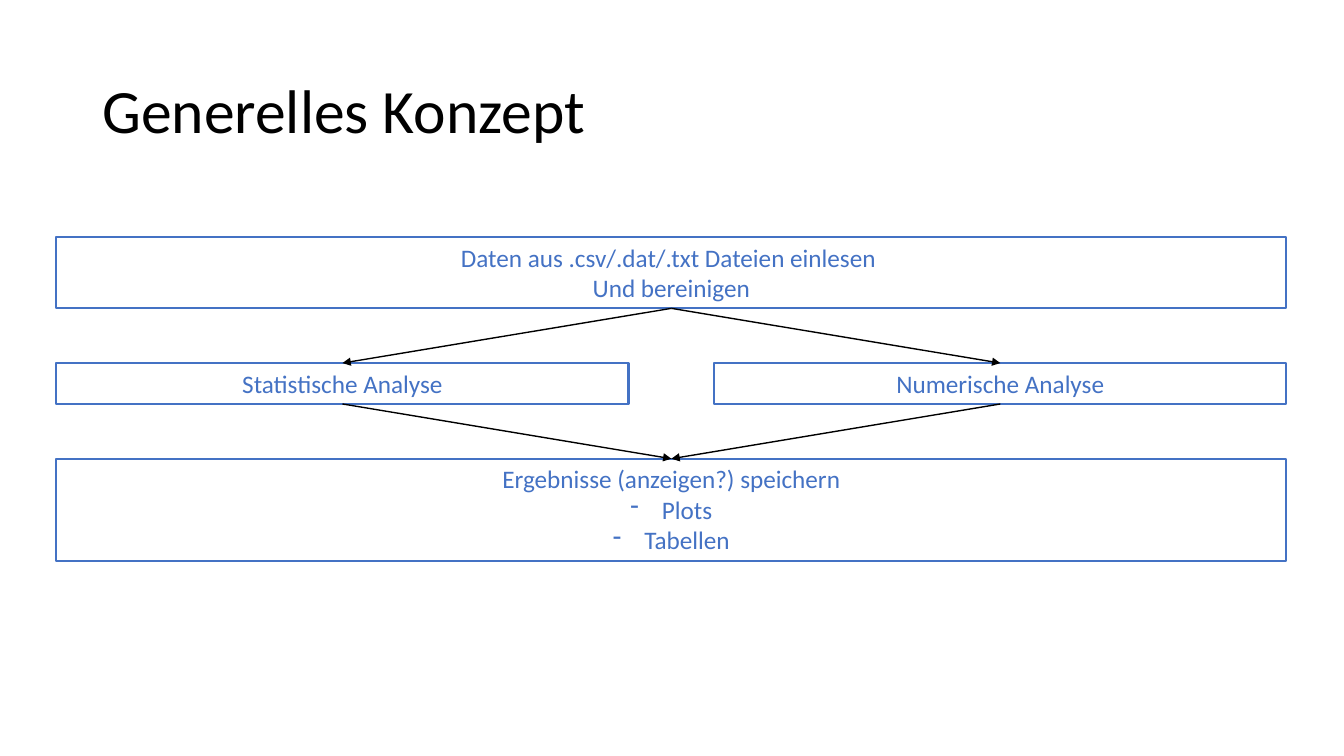
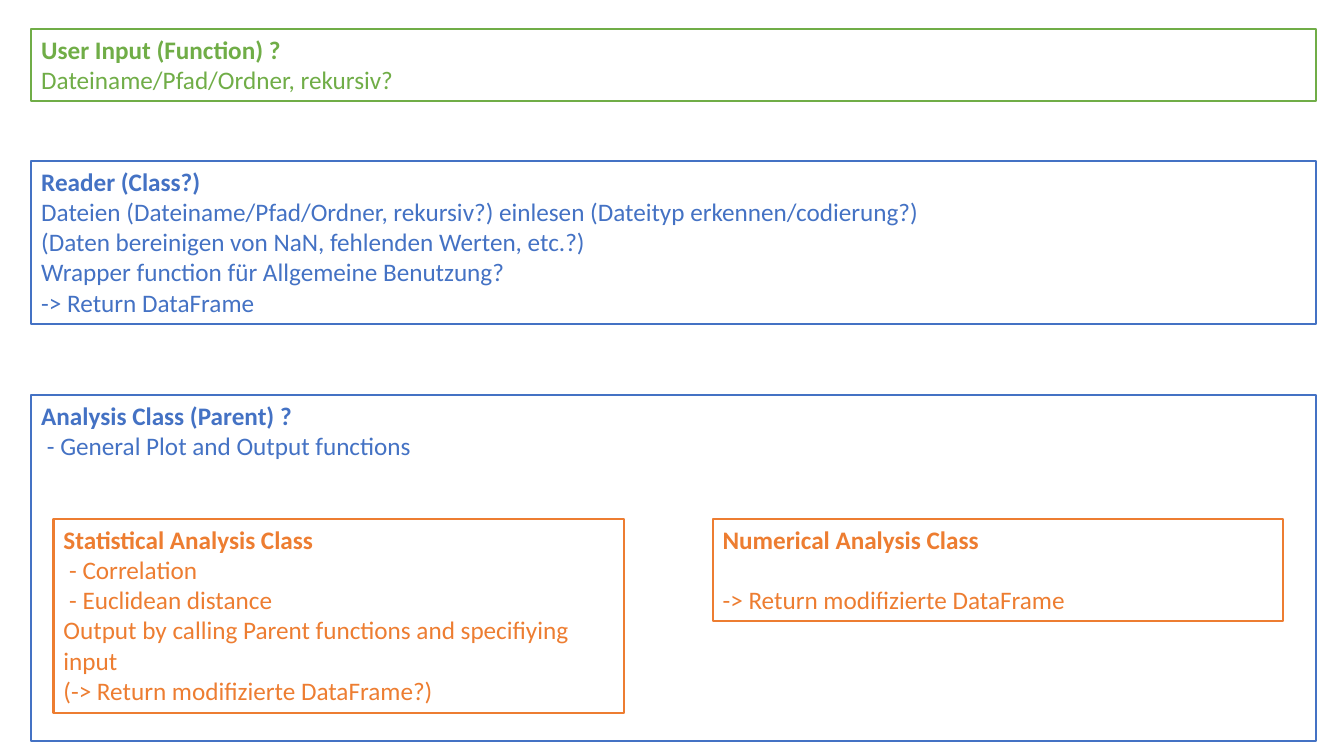
"""Builds two slides: the general concept as a flow chart and the class outline."""
from lxml.etree import SubElement
from pptx import Presentation
from pptx.dml.color import RGBColor
from pptx.enum.shapes import MSO_CONNECTOR as Connector, MSO_SHAPE as Shape
from pptx.enum.text import MSO_ANCHOR as Anchor, PP_ALIGN as Align
from pptx.oxml.ns import qn
from pptx.util import Cm, Pt

BLUE, ORANGE, GREEN, BLACK = "4472C4", "ED7D31", "70AD47", "000000"
FONT, BODY_SIZE, TITLE_SIZE = "Calibri", 18, 44
LINE_HEIGHT, PADDING = 0.77, 0.26
TOP_SITE, BOTTOM_SITE = 0, 2

TITLE = "Generelles Konzept"
READ = ["Daten aus .csv/.dat/.txt Dateien einlesen ", "Und bereinigen"]
ANALYSES = ["Statistische Analyse", "Numerische Analyse"]
RESULT = "Ergebnisse (anzeigen?) speichern"
RESULT_ITEMS = ["Plots", "Tabellen"]
FLOW_LEFT, FLOW_TOP, FLOW_WIDTH, FLOW_GAP, BRANCH_WIDTH = 1.42, 5.97, 31, 1.38, 14.42

USER_INPUT = ["User Input (Function) ?", "Dateiname/Pfad/Ordner, rekursiv?"]
READER = [
    "Reader (Class?) ",
    "Dateien (Dateiname/Pfad/Ordner, rekursiv?) einlesen (Dateityp erkennen/codierung?)",
    "(Daten bereinigen von NaN, fehlenden Werten, etc.?)",
    "Wrapper function für Allgemeine Benutzung?",
    "-> Return DataFrame  ",
]
PARENT = ["Analysis Class (Parent) ?", " - General Plot and Output functions"]
STATISTICAL = [
    "Statistical Analysis Class",
    " - Correlation",
    " - Euclidean distance",
    "Output by calling Parent functions and specifiying input",
    "(-> Return modifizierte DataFrame?) ",
]
NUMERICAL = ["Numerical Analysis Class", "-> Return modifizierte DataFrame  "]
OUTLINE_LEFT, OUTLINE_WIDTH = 0.79, 32.38
CHILD_LEFTS, CHILD_TOP, CHILD_WIDTH = (1.35, 17.96), 13.08, 14.38
PARENT_HEIGHT = 8.71


def color(code):
    return RGBColor.from_string(code)


def height_of(lines):
    return PADDING + LINE_HEIGHT * lines


def write(box, lines, size, code, align=Align.LEFT):
    frame = box.text_frame
    frame.word_wrap = True
    frame.text = "\n".join(lines)
    for para in frame.paragraphs:
        para.alignment = align
        for span in para.runs:
            span.font.name, span.font.size = FONT, Pt(size)
            span.font.color.rgb = color(code)
    return frame


def add_box(page, lines, left, top, width, height, code=BLUE, align=Align.LEFT):
    box = page.shapes.add_shape(Shape.RECTANGLE, Cm(left), Cm(top), Cm(width), Cm(height))
    box.shadow.inherit = False
    box.fill.background()
    box.line.color.rgb, box.line.width = color(code), Pt(1.5)
    write(box, lines, BODY_SIZE, code, align).vertical_anchor = Anchor.TOP
    return box


def add_class(page, lines, left, top, width, height, code=BLUE):
    box = add_box(page, lines, left, top, width, height, code)
    box.text_frame.paragraphs[0].runs[0].font.bold = True
    return box


def add_dash(para):
    properties = para._p.get_or_add_pPr()
    indent = Cm(0.79)
    properties.set("marL", str(indent))
    properties.set("indent", str(-indent))
    SubElement(properties, qn("a:buFontTx"))
    SubElement(properties, qn("a:buChar")).set("char", "-")


def add_arrow(page, source, target):
    arrow = page.shapes.add_connector(Connector.STRAIGHT, 0, 0, 0, 0)
    arrow.begin_connect(source, BOTTOM_SITE)
    arrow.end_connect(target, TOP_SITE)
    arrow.line.color.rgb, arrow.line.width = color(BLACK), Pt(1)
    SubElement(arrow.line._get_or_add_ln(), qn("a:tailEnd")).set("type", "triangle")
    SubElement(arrow._element.spPr, qn("a:effectLst"))


def build_concept(page):
    title = page.shapes.add_textbox(Cm(2.33), Cm(1.01), Cm(29.21), Cm(3.68))
    frame = write(title, [TITLE], TITLE_SIZE, BLACK)
    frame.vertical_anchor = Anchor.MIDDLE
    frame.paragraphs[0].line_spacing = 0.9

    result_lines = [RESULT, *RESULT_ITEMS]
    branch_top = FLOW_TOP + height_of(len(READ)) + FLOW_GAP
    result_top = branch_top + height_of(1) + FLOW_GAP
    read = add_box(page, READ, FLOW_LEFT, FLOW_TOP, FLOW_WIDTH,
                   height_of(len(READ)), align=Align.CENTER)
    result = add_box(page, result_lines, FLOW_LEFT, result_top, FLOW_WIDTH,
                     height_of(len(result_lines)), align=Align.CENTER)
    for para in result.text_frame.paragraphs[1:]:
        add_dash(para)
    for column, name in enumerate(ANALYSES):
        left = FLOW_LEFT + column * (FLOW_WIDTH - BRANCH_WIDTH)
        branch = add_box(page, [name], left, branch_top, BRANCH_WIDTH,
                         height_of(1), align=Align.CENTER)
        add_arrow(page, read, branch)
        add_arrow(page, branch, result)


def build_outline(page):
    for lines, top, height, code in (
        (USER_INPUT, 0.74, height_of(2), GREEN),
        (READER, 4.06, height_of(5), BLUE),
        (PARENT, 9.96, PARENT_HEIGHT, BLUE),
    ):
        add_class(page, lines, OUTLINE_LEFT, top, OUTLINE_WIDTH, height, code)
    statistical_left, numerical_left = CHILD_LEFTS
    add_class(page, STATISTICAL, statistical_left, CHILD_TOP, CHILD_WIDTH, height_of(6), ORANGE)
    numerical = add_class(page, NUMERICAL, numerical_left, CHILD_TOP, CHILD_WIDTH,
                          height_of(3), ORANGE)
    numerical.text_frame.paragraphs[-1].space_before = Cm(LINE_HEIGHT)


deck = Presentation()
deck.slide_width, deck.slide_height = Cm(33.87), Cm(19.05)
for build in (build_concept, build_outline):
    build(deck.slides.add_slide(deck.slide_layouts[6]))
deck.save("out.pptx")
